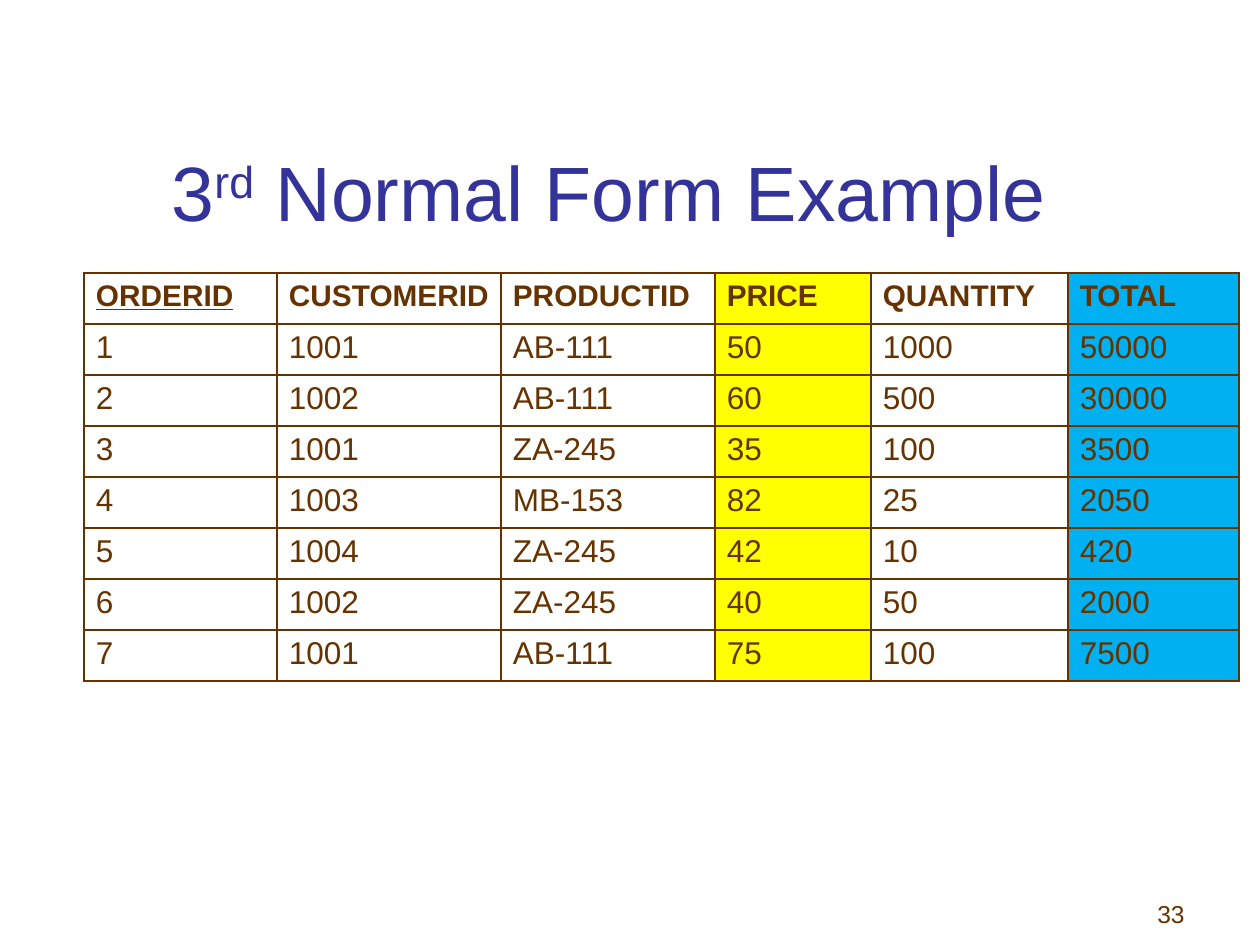
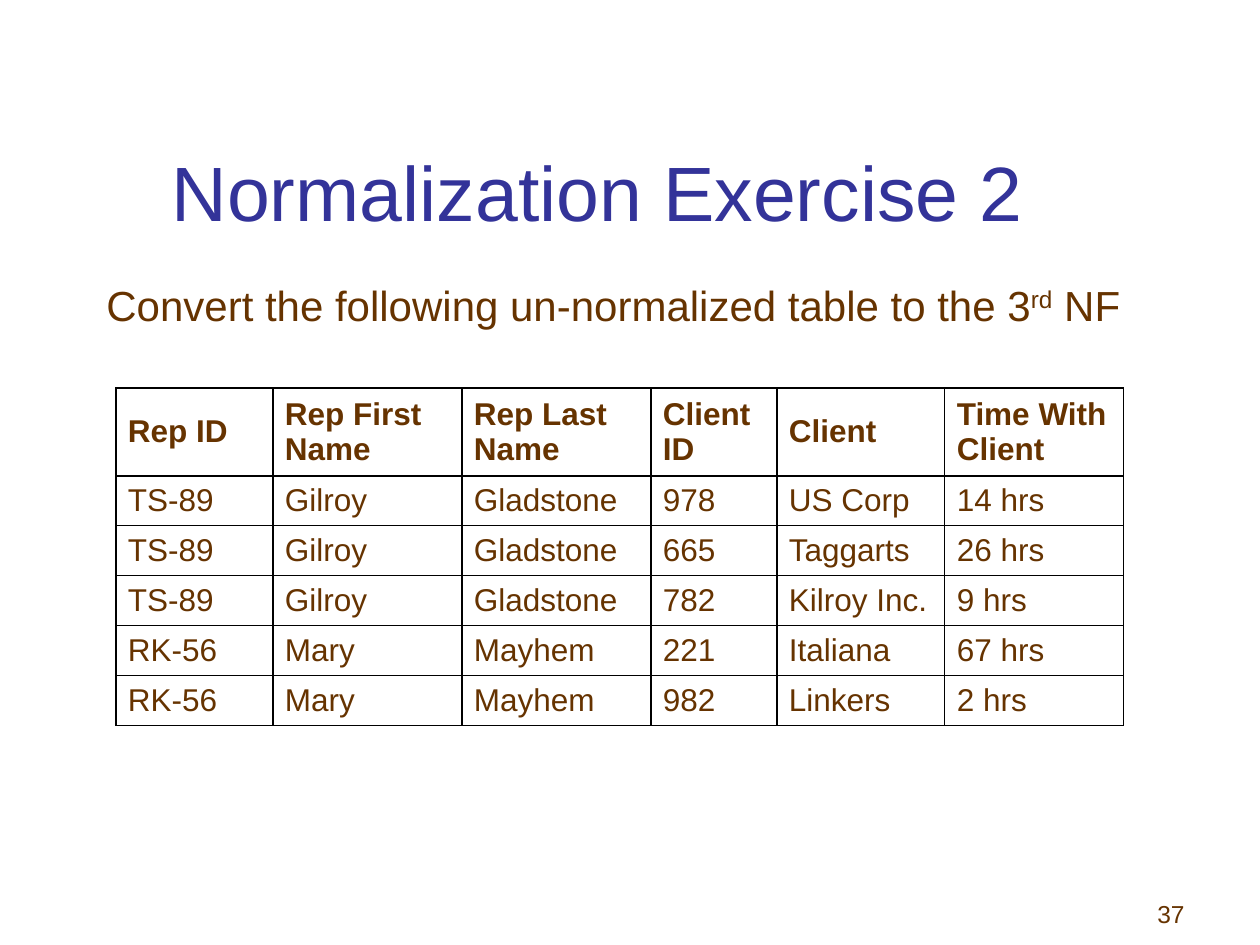
import dataclasses
import typing

import lxml.etree
import pptx
import pptx.dml.color
import pptx.enum.text
import pptx.oxml.ns
import pptx.util

SCALE = 914400 / 126


@dataclasses.dataclass(frozen=True)
class Theme:
    face: str = "Arial"
    title: str = "333399"
    text: str = "663300"
    line: str = "000000"
    price: str = "FFFF00"
    total: str = "00B0F0"
    big: int = 44
    lead: int = 24
    cell: int = 18
    head: int = 17
    foot: int = 14


THEME = Theme()
ANCHOR = pptx.enum.text.MSO_ANCHOR
ALIGN = pptx.enum.text.PP_ALIGN


class Box(typing.NamedTuple):
    left: int
    top: int
    width: int
    height: int


@dataclasses.dataclass(frozen=True)
class Grid:
    left: int
    top: int
    cols: tuple[int, ...]
    first: int
    rest: int
    rows: tuple[str, ...]
    line: str
    weight: float
    head: int
    anchor: ANCHOR
    fills: dict[int, str] = dataclasses.field(default_factory=dict)
    key: int | None = None


@dataclasses.dataclass(frozen=True)
class Page:
    title: str
    number: str
    grid: Grid
    lead: str = ""


TITLE = Box(159, 86, 1074, 157)
FOOT = Box(935, 872, 262, 63)
LEAD = Box(94, 273, 1081, 64)

PAGES = (
    Page("3^rd^ Normal Form Example", "33", Grid(
        84, 273, (193, 224, 214, 156, 197, 171), 51, 51,
        ("ORDERID|CUSTOMERID|PRODUCTID|PRICE|QUANTITY|TOTAL",
         "1|1001|AB-111|50|1000|50000",
         "2|1002|AB-111|60|500|30000",
         "3|1001|ZA-245|35|100|3500",
         "4|1003|MB-153|82|25|2050",
         "5|1004|ZA-245|42|10|420",
         "6|1002|ZA-245|40|50|2000",
         "7|1001|AB-111|75|100|7500"),
        THEME.text, 1, THEME.head, ANCHOR.TOP,
        {3: THEME.price, 5: THEME.total}, 0)),
    Page("Normalization Exercise 2", "37", Grid(
        116, 388, (157, 189, 189, 126, 168, 179), 88, 50,
        ("Rep ID|Rep First Name|Rep Last Name|Client ID|Client|Time With Client",
         "TS-89|Gilroy|Gladstone|978|US Corp|14 hrs",
         "TS-89|Gilroy|Gladstone|665|Taggarts|26 hrs",
         "TS-89|Gilroy|Gladstone|782|Kilroy Inc.|9 hrs",
         "RK-56|Mary|Mayhem|221|Italiana|67 hrs",
         "RK-56|Mary|Mayhem|982|Linkers|2 hrs"),
        THEME.line, 0.75, THEME.cell, ANCHOR.MIDDLE),
        "Convert the following un-normalized table to the 3^rd^ NF"),
)


def px(size: int) -> int:
    return round(size * SCALE)


def rgb(code: str) -> pptx.dml.color.RGBColor:
    return pptx.dml.color.RGBColor.from_string(code)


def write(frame, text: str, size: int, color: str = THEME.text,
          align: ALIGN = ALIGN.LEFT, bold: bool = False, under: bool = False) -> None:
    para = frame.paragraphs[0]
    para.alignment = align
    font = para.font
    font.name, font.size = THEME.face, pptx.util.Pt(size)
    font.bold, font.underline = bold, under
    font.color.rgb = rgb(color)
    for index, part in enumerate(text.split("^")):
        run = para.add_run()
        run.text = part
        if index % 2:
            run._r.get_or_add_rPr().set("baseline", "30000")


def label(slide, box: Box, text: str, size: int, anchor: ANCHOR, align: ALIGN) -> None:
    frame = slide.shapes.add_textbox(*map(px, box)).text_frame
    frame.word_wrap = True
    frame.vertical_anchor = anchor
    write(frame, text, size, align=align)


def edge(cell, color: str, weight: float) -> None:
    props = cell._tc.get_or_add_tcPr()
    name = pptx.oxml.ns.qn
    for index, side in enumerate(("lnL", "lnR", "lnT", "lnB")):
        line = lxml.etree.Element(name(f"a:{side}"), w=str(pptx.util.Pt(weight)))
        fill = lxml.etree.SubElement(line, name("a:solidFill"))
        lxml.etree.SubElement(fill, name("a:srgbClr"), val=color)
        props.insert(index, line)


def table(slide, grid: Grid) -> None:
    count = len(grid.rows)
    high = grid.first + grid.rest * (count - 1)
    box = Box(grid.left, grid.top, sum(grid.cols), high)
    body = slide.shapes.add_table(count, len(grid.cols), *map(px, box)).table
    body.first_row = body.horz_banding = False
    for col, width in zip(body.columns, grid.cols):
        col.width = px(width)
    for top, row in enumerate(grid.rows):
        head = top == 0
        body.rows[top].height = px(grid.first if head else grid.rest)
        for left, text in enumerate(row.split("|")):
            cell = body.cell(top, left)
            cell.margin_left, cell.margin_right = px(12), px(8)
            cell.margin_top = cell.margin_bottom = px(6)
            cell.vertical_anchor = grid.anchor
            if left in grid.fills:
                cell.fill.solid()
                cell.fill.fore_color.rgb = rgb(grid.fills[left])
            else:
                cell.fill.background()
            write(cell.text_frame, text, grid.head if head else THEME.cell,
                  bold=head, under=head and left == grid.key)
            edge(cell, grid.line, grid.weight)


def draw(deck, page: Page) -> None:
    slide = deck.slides.add_slide(deck.slide_layouts[5])
    title = slide.shapes.title
    title.left, title.top, title.width, title.height = map(px, TITLE)
    title.text_frame.vertical_anchor = ANCHOR.BOTTOM
    write(title.text_frame, page.title, THEME.big, THEME.title)
    label(slide, FOOT, page.number, THEME.foot, ANCHOR.BOTTOM, ALIGN.RIGHT)
    table(slide, page.grid)
    if page.lead:
        label(slide, LEAD, page.lead, THEME.lead, ANCHOR.TOP, ALIGN.LEFT)


def main() -> None:
    deck = pptx.Presentation()
    deck.slide_width, deck.slide_height = px(1260), px(945)
    for page in PAGES:
        draw(deck, page)
    deck.save("out.pptx")


if __name__ == "__main__":
    main()
